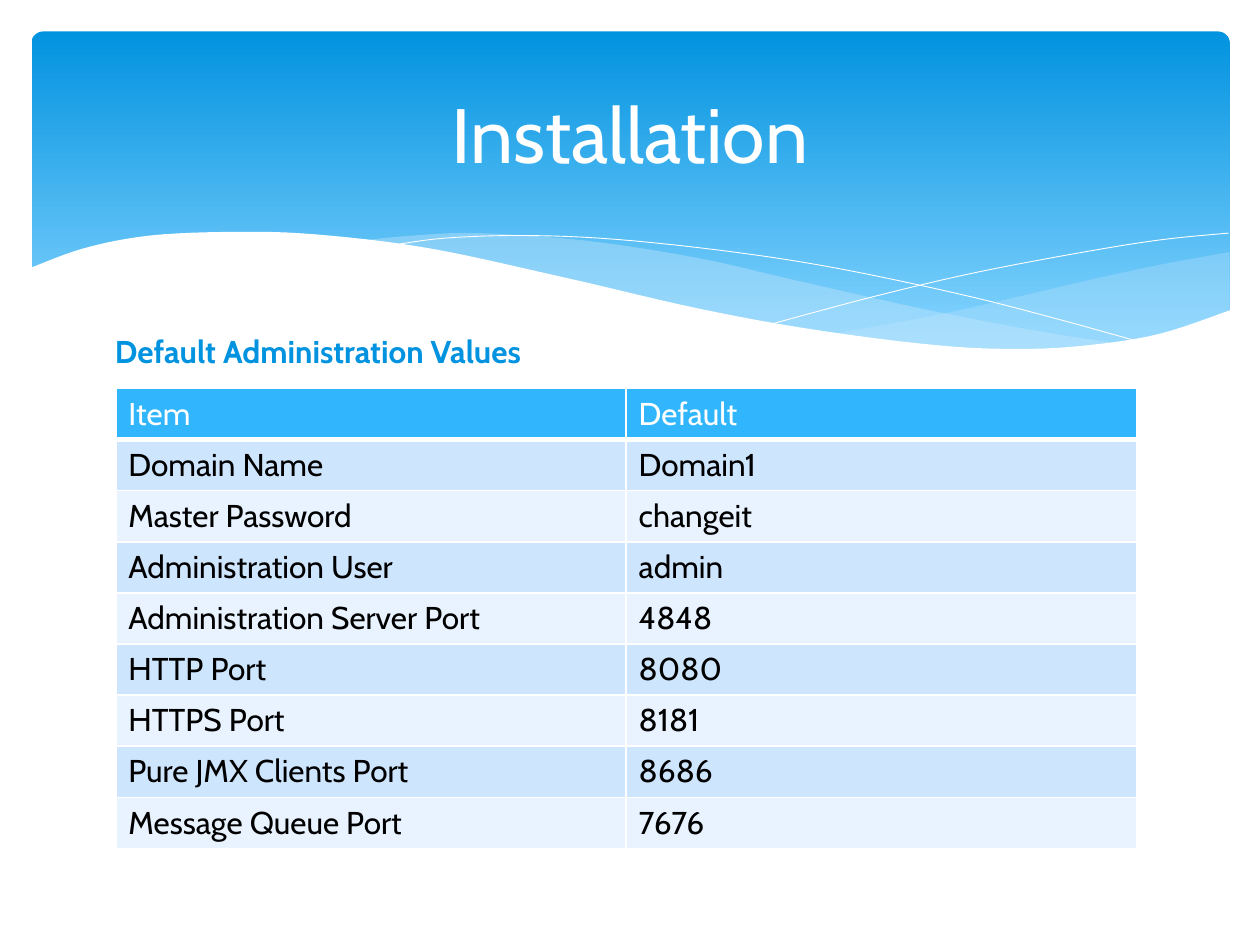
from lxml import etree
from pptx import Presentation
from pptx.dml.color import RGBColor
from pptx.enum.shapes import MSO_SHAPE
from pptx.enum.text import MSO_ANCHOR, MSO_AUTO_SIZE, PP_ALIGN
from pptx.oxml.ns import qn
from pptx.util import Pt

ROUNDED = MSO_SHAPE.ROUNDED_RECTANGLE
MIDDLE = MSO_ANCHOR.MIDDLE
TOP = MSO_ANCHOR.TOP
CENTER = PP_ALIGN.CENTER
LEFT = PP_ALIGN.LEFT
FIT_SHAPE = MSO_AUTO_SIZE.SHAPE_TO_FIT_TEXT
FIT_NONE = MSO_AUTO_SIZE.NONE

FONT = "Cabin"
WHITE = RGBColor(0xFF, 0xFF, 0xFF)
BLACK = RGBColor(0x00, 0x00, 0x00)
DEEP_BLUE = RGBColor(0x02, 0x93, 0xE0)
SKY_BLUE = RGBColor(0x83, 0xD3, 0xFE)
PALE_BLUE = RGBColor(0xC6, 0xE7, 0xFC)
HEADER_BLUE = RGBColor(0x31, 0xB6, 0xFD)
BANDS = (RGBColor(0xCE, 0xE5, 0xFE), RGBColor(0xE8, 0xF3, 0xFF))

# Points the banner's curves run through
RIGHT_WAVE_TOP = [(475.9, 190.8), (542.2, 178.6), (619.9, 160.6),
                  (663.1, 151.2), (702.7, 144)]
RIGHT_WAVE_BOTTOM = [(702.7, 177.8), (673.2, 188.6), (627.8, 197.3),
                     (578.2, 200.2), (517.7, 195.8), (475.9, 190.8)]
LEFT_WAVE_TOP = [(205.9, 137.5), (236.2, 134.6), (273.6, 133.2),
                 (334.8, 137.5), (399.6, 147.6), (452.9, 159.8),
                 (533.5, 177.8), (602.6, 190.8), (643, 196.6)]
LEFT_WAVE_BOTTOM = [(643, 196.6), (603.4, 200.2), (556.6, 199.4),
                    (500.4, 194.4), (432.7, 183.6), (353.5, 167),
                    (290.9, 151.9), (246.2, 143.3), (205.9, 137.5)]
FALLING_LINE = [(222.5, 140.4), (254.2, 136.1), (299.5, 134.6),
                (352.1, 136.8), (419, 144), (478.8, 153.4),
                (547.2, 167.8), (598.3, 180.7), (653, 195.8)]
RISING_LINE = [(441.4, 185), (500.4, 169.2), (558.7, 155.5),
               (623.5, 143.3), (665.3, 136.8), (702, 133.2)]
WHITE_WAVE = [(16.6, 153.4), (48.2, 141.8), (85.7, 134.6), (133.2, 132.5),
              (180, 133.9), (244.8, 141.8), (321.8, 158.4), (399.6, 176.4),
              (466.6, 188.6), (535.7, 197.3), (582.5, 199.4),
              (621.4, 197.3), (662.4, 190.8), (703.4, 177.1)]
WHITE_BASE = [(703.4, 236.9), (16.6, 236.9)]

TABLE_ROWS = [
    ("Item", "Default"),
    ("Domain Name", "Domain1"),
    ("Master Password", "changeit"),
    ("Administration User", "admin"),
    ("Administration Server Port", "4848"),
    ("HTTP Port", "8080"),
    ("HTTPS Port", "8181"),
    ("Pure JMX Clients Port", "8686"),
    ("Message Queue Port", "7676"),
]


def smooth(knots, steps=6):
    """Return points on a Catmull-Rom curve through the knots."""
    padded = [knots[0], *knots, knots[-1]]
    curve = []
    for a, b, c, d in zip(padded, padded[1:], padded[2:], padded[3:]):
        for step in range(steps):
            t = step / steps
            curve.append(tuple(
                q + 0.5 * t * (r - p + t * (2 * p - 5 * q + 4 * r - s
                                            + t * (3 * (q - r) + s - p)))
                for p, q, r, s in zip(a, b, c, d)))
    return curve + [knots[-1]]


def add_outline(slide, points, closed):
    corners = [(Pt(x), Pt(y)) for x, y in points]
    builder = slide.shapes.build_freeform(*corners[0])
    builder.add_line_segments(corners[1:], close=closed)
    outline = builder.convert_to_shape()
    outline.shadow.inherit = False
    return outline


def add_wave(slide, points, color, opacity=100):
    wave = add_outline(slide, points, True)
    wave.fill.solid()
    wave.fill.fore_color.rgb = color
    wave.line.fill.background()
    if opacity < 100:
        tint = wave.fill._xPr.find(qn("a:solidFill"))[0]
        etree.SubElement(tint, qn("a:alpha"), val=str(opacity * 1000))


def add_curve(slide, knots):
    curve = add_outline(slide, smooth(knots), False)
    curve.fill.background()
    curve.line.color.rgb = WHITE
    curve.line.width = Pt(0.5)


def add_banner(slide):
    banner = slide.shapes.add_shape(ROUNDED, Pt(18), Pt(18), Pt(684.7), Pt(194.4))
    banner.adjustments[0] = 0.034
    banner.shadow.inherit = False
    banner.line.fill.background()
    banner.fill.gradient()
    banner.fill.gradient_angle = 270
    stops = banner.fill.gradient_stops
    for stop, color, position in zip(stops, (DEEP_BLUE, SKY_BLUE), (0, 0.9)):
        stop.color.rgb = color
        stop.position = position


def style_paragraph(para, text, size, color, bold=False, align=LEFT):
    para.text = text
    para.alignment = align
    para.font.name = FONT
    para.font.size = Pt(size)
    para.font.bold = bold
    para.font.color.rgb = color


def add_text(slide, frame, text, size, color, bold=False, align=LEFT,
             anchor=TOP, wrap=True, fit=FIT_NONE):
    box = slide.shapes.add_textbox(*map(Pt, frame))
    box.text_frame.word_wrap = wrap
    box.text_frame.auto_size = fit
    box.text_frame.vertical_anchor = anchor
    style_paragraph(box.text_frame.paragraphs[0], text, size, color, bold, align)


def set_borders(cell, bottom_width):
    properties = cell._tc.get_or_add_tcPr()
    widths = {"a:lnL": 1, "a:lnR": 1, "a:lnT": 1, "a:lnB": bottom_width}
    for tag, width in widths.items():
        line = etree.SubElement(properties, qn(tag), w=str(Pt(width)))
        fill = etree.SubElement(line, qn("a:solidFill"))
        etree.SubElement(fill, qn("a:srgbClr"), val=str(WHITE))


def add_defaults_table(slide):
    frame = slide.shapes.add_table(len(TABLE_ROWS), 2, Pt(66.2), Pt(222),
                                   Pt(583.2), Pt(262.8))
    table = frame.table
    table.first_row = False
    table.horz_banding = False
    for row_index, values in enumerate(TABLE_ROWS):
        is_header = row_index == 0
        for column_index, value in enumerate(values):
            cell = table.cell(row_index, column_index)
            set_borders(cell, 3 if is_header else 1)
            cell.fill.solid()
            cell.fill.fore_color.rgb = (
                HEADER_BLUE if is_header else BANDS[(row_index - 1) % 2])
            style_paragraph(cell.text_frame.paragraphs[0], value, 18,
                            WHITE if is_header else BLACK)


def main():
    deck = Presentation()
    deck.slide_width, deck.slide_height = Pt(720), Pt(540)
    slide = deck.slides.add_slide(deck.slide_layouts[6])

    # Banner with its waves
    add_banner(slide)
    add_wave(slide, smooth(RIGHT_WAVE_TOP) + smooth(RIGHT_WAVE_BOTTOM), PALE_BLUE, 29)
    add_wave(slide, smooth(LEFT_WAVE_TOP) + smooth(LEFT_WAVE_BOTTOM), PALE_BLUE, 40)
    add_curve(slide, FALLING_LINE)
    add_curve(slide, RISING_LINE)
    add_wave(slide, smooth(WHITE_WAVE) + WHITE_BASE, WHITE)

    # Title, table and table heading
    add_text(slide, (36, 26.6, 648, 98.6), "Installation", 44, WHITE,
             align=CENTER, anchor=MIDDLE)
    add_defaults_table(slide)
    add_text(slide, (58.6, 186, 247.7, 29), "Default Administration Values",
             18, DEEP_BLUE, bold=True, wrap=False, fit=FIT_SHAPE)

    deck.save("out.pptx")


if __name__ == "__main__":
    main()
